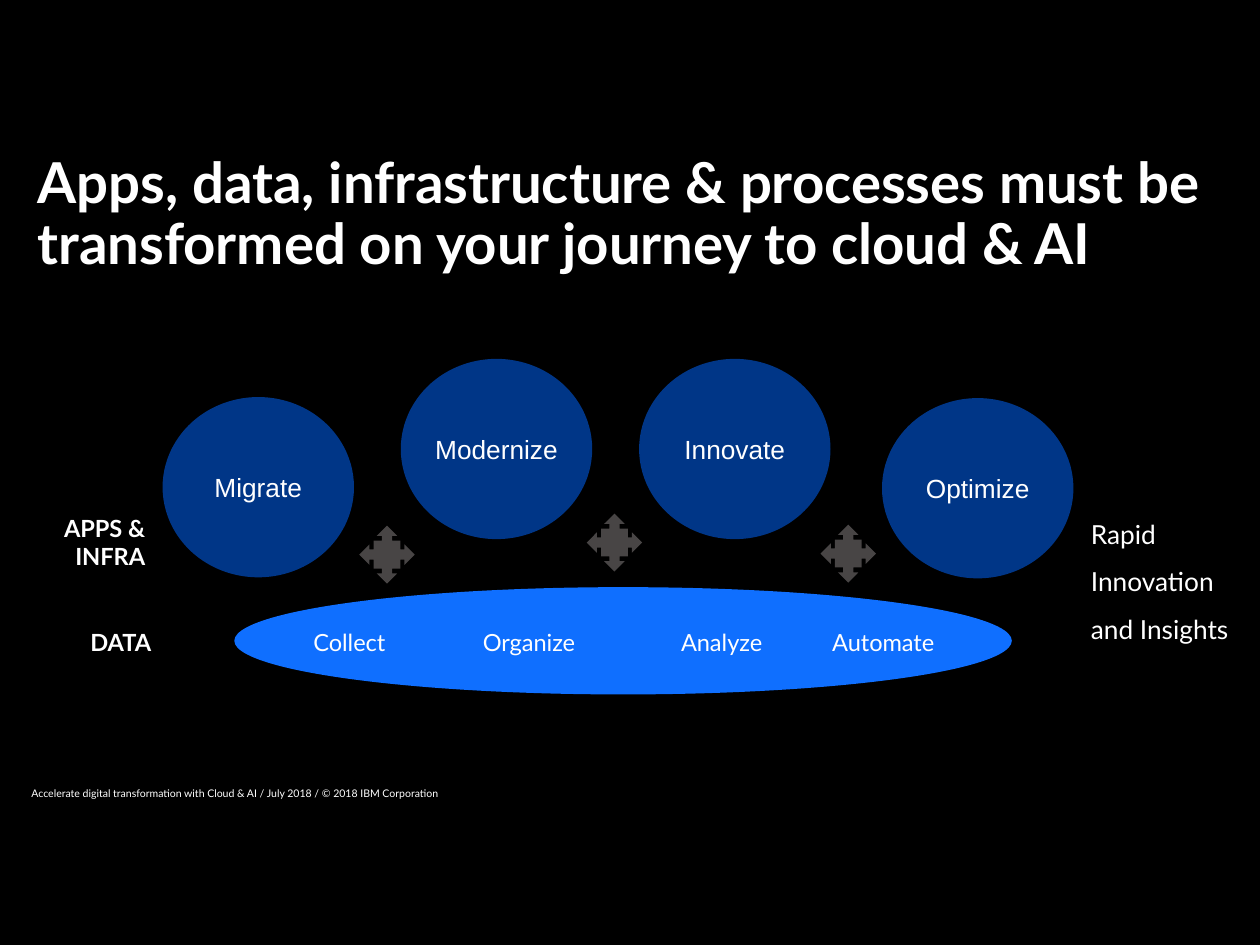
import pptx
import pptx.util
import pptx.dml.color
import pptx.enum.shapes
import pptx.enum.text

Pt = pptx.util.Pt
RGB = pptx.dml.color.RGBColor
SHAPE = pptx.enum.shapes.MSO_SHAPE
ALIGN = pptx.enum.text.PP_ALIGN
ANCHOR = pptx.enum.text.MSO_ANCHOR

BLACK = RGB(0x00, 0x00, 0x00)
WHITE = RGB(0xFF, 0xFF, 0xFF)
NAVY = RGB(0x00, 0x36, 0x87)
BLUE = RGB(0x0F, 0x6F, 0xFF)
GRAY = RGB(0x48, 0x45, 0x45)

# Content: all lengths in points
TITLE = ("Apps, data, infrastructure & processes must be "
         "transformed on your journey to cloud & AI")
FOOTER = ("Accelerate digital transformation with Cloud & AI / July 2018 / "
          "© 2018 IBM Corporation")
RESULT = "Rapid Innovation and Insights"
STAGES = [("Migrate", 92.9, 226.9), ("Modernize", 229, 205.1),
          ("Innovate", 365.2, 205.1), ("Optimize", 504, 227.5)]
ARROWS = [(205.3, 300.4), (335.3, 293.5), (468.9, 299.8)]
STEPS = [("Collect", 172, 56.9), ("Organize", 268.8, 68.4),
         ("Analyze", 382.1, 62.6), ("Automate", 468.5, 74.9)]
LABELS = [("APPS & INFRA", 23.8, 290.2, 40.3, ALIGN.RIGHT),
          ("DATA", 44.6, 355, 23.8, ALIGN.LEFT)]

DISC = (109.4, 103)
ARROW = (31.7, 33.1)
POOL = (133.9, 335.5, 444.3, 61.3)
STEP_TOP, STEP_H = 355, 23.8

deck = pptx.Presentation()
deck.slide_width, deck.slide_height = Pt(720), Pt(540)
slide = deck.slides.add_slide(deck.slide_layouts[6])
slide.background.fill.solid()
slide.background.fill.fore_color.rgb = BLACK


def write(frame, text, size, font="Lato", bold=False, align=ALIGN.LEFT,
          space=None, inset=True, anchor=ANCHOR.TOP, wrap=True):
    frame.word_wrap = wrap
    frame.vertical_anchor = anchor
    if not inset:
        frame.margin_left = frame.margin_right = 0
        frame.margin_top = frame.margin_bottom = 0
    para = frame.paragraphs[0]
    para.alignment = align
    if space:
        para.line_spacing = space
    run = para.add_run()
    run.text = text
    run.font.name, run.font.size, run.font.bold = font, Pt(size), bold
    run.font.color.rgb = WHITE


def add_text(box, text, size, **style):
    shape = slide.shapes.add_textbox(*map(Pt, box))
    write(shape.text_frame, text, size, **style)


def add_form(kind, box, color):
    shape = slide.shapes.add_shape(kind, *map(Pt, box))
    shape.shadow.inherit = False
    shape.fill.solid()
    shape.fill.fore_color.rgb = color
    shape.line.fill.background()
    return shape


# Title and footer
add_text((21.6, 88.6, 686.9, 61.2), TITLE, 32.2, bold=True, space=0.9,
         inset=False)
add_text((18, 447.8, 504, 10.8), FOOTER, 6, inset=False,
         anchor=ANCHOR.MIDDLE)

# Stage discs
for name, left, top in STAGES:
    disc = add_form(SHAPE.OVAL, (left, top, *DISC), NAVY)
    write(disc.text_frame, name, 15, font="Arial", align=ALIGN.CENTER,
          inset=False, anchor=ANCHOR.MIDDLE)

# Data pool and the arrows above it
add_form(SHAPE.OVAL, POOL, BLUE)
for spot in ARROWS:
    add_form(SHAPE.QUAD_ARROW_CALLOUT, (*spot, *ARROW), GRAY)

# Result, data steps and row labels
add_text((616.3, 283.7, 101.5, 86.4), RESULT, 15, space=1.5)
for name, left, width in STEPS:
    add_text((left, STEP_TOP, width, STEP_H), name, 13.5, wrap=False)
for name, left, top, height, align in LABELS:
    add_text((left, top, 66.2, height), name, 13.5, bold=True, align=align)

deck.save("out.pptx")
